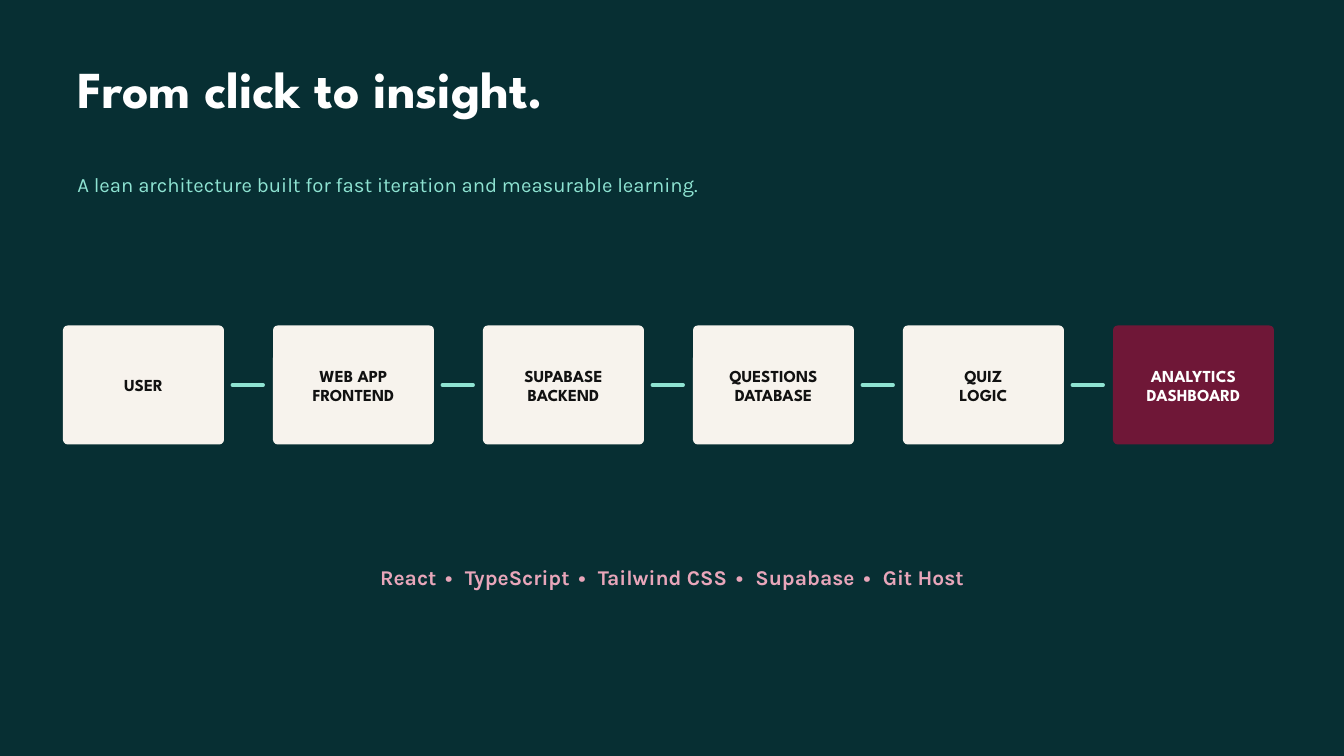
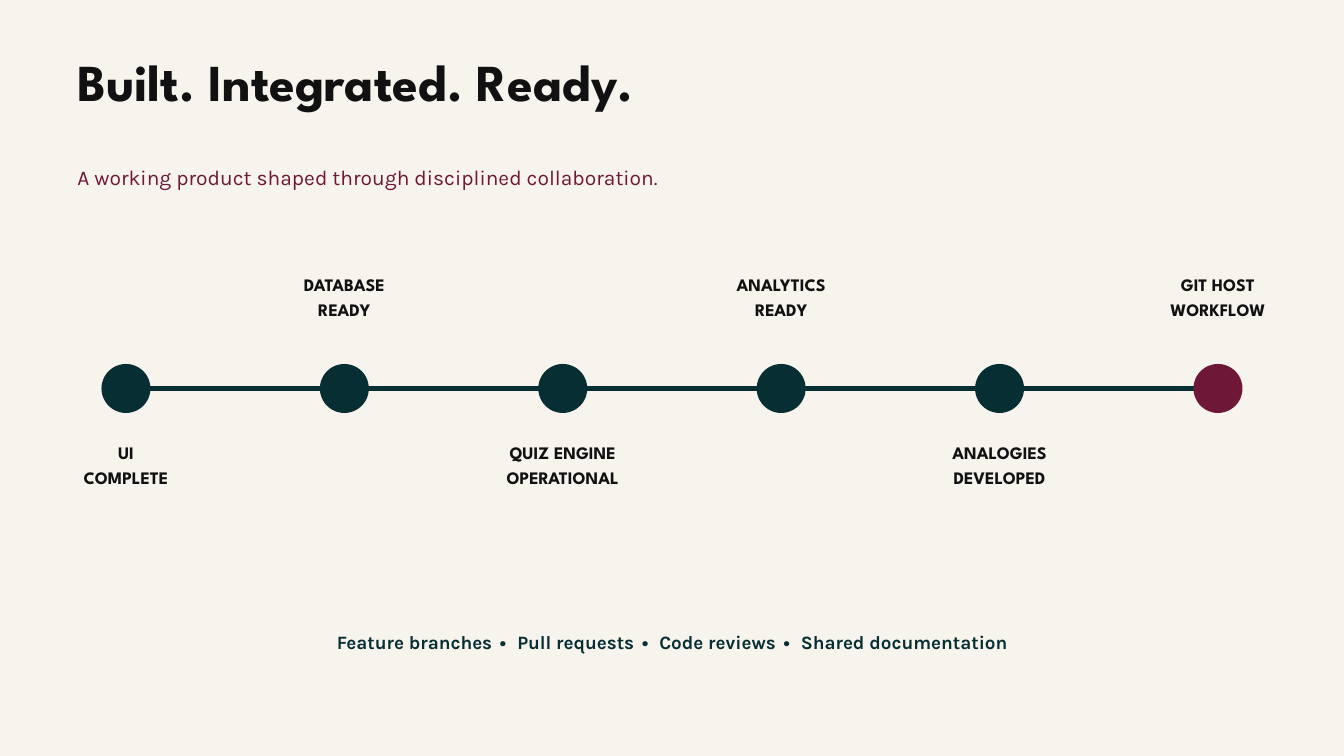
from dataclasses import dataclass

from lxml import etree
from pptx import Presentation
from pptx.dml.color import RGBColor
from pptx.enum.shapes import MSO_CONNECTOR, MSO_SHAPE
from pptx.enum.text import MSO_ANCHOR, PP_ALIGN
from pptx.oxml.ns import qn
from pptx.util import Pt

LEFT, CENTER = PP_ALIGN.LEFT, PP_ALIGN.CENTER
MIDDLE = MSO_ANCHOR.MIDDLE
ROUND, OVAL = MSO_SHAPE.ROUNDED_RECTANGLE, MSO_SHAPE.OVAL
STRAIGHT = MSO_CONNECTOR.STRAIGHT


@dataclass(frozen=True)
class Style:
    font: str
    size: float
    lead: float
    bold: bool = True
    align: int = CENTER


class Theme:
    teal, cream, wine = "072F33", "F7F3ED", "6F1737"
    mint, pink, white, ink = "8EE3D2", "E8A6BA", "FFFFFF", "111111"
    head, body = "League Spartan", "Karla"
    title = Style(head, 55.5, 55.5, align=LEFT)
    box = Style(head, 18, 19.8)
    label = Style(head, 18.8, 26.2)
    margin = 82.8
    width, height = 1440, 810


STEPS = ["USER", "WEB APP\nFRONTEND", "SUPABASE\nBACKEND",
         "QUESTIONS\nDATABASE", "QUIZ\nLOGIC", "ANALYTICS\nDASHBOARD"]
TOOLS = ["React", "TypeScript", "Tailwind CSS", "Supabase", "Git Host"]
GOALS = ["UI\nCOMPLETE", "DATABASE\nREADY", "QUIZ ENGINE\nOPERATIONAL",
         "ANALYTICS\nREADY", "ANALOGIES\nDEVELOPED", "GIT HOST\nWORKFLOW"]
HABITS = ["Feature branches", "Pull requests", "Code reviews",
          "Shared documentation"]


def rgb(color):
    return RGBColor.from_string(color)


def format_text(frame, style, color):
    for para in frame.paragraphs:
        para.alignment = style.align
        para.line_spacing = Pt(style.lead)
        for run in para.runs:
            font = run.font
            font.name, font.size, font.bold = style.font, Pt(style.size), style.bold
            font.color.rgb = rgb(color)


def set_inset(frame, side, top):
    frame.margin_left = frame.margin_right = frame.margin_bottom = Pt(side)
    frame.margin_top = Pt(top)
    frame.word_wrap = True


def add_text(slide, text, x, y, w, h, style, color):
    frame = slide.shapes.add_textbox(Pt(x), Pt(y), Pt(w), Pt(h)).text_frame
    set_inset(frame, 0, 0)
    frame.text = text
    format_text(frame, style, color)
    return frame


def add_list(slide, items, y, style, color):
    """One centred line of items with widely spaced dots between them."""
    frame = add_text(slide, "", 180, y, Theme.width - 360, style.lead, style, color)
    para = frame.paragraphs[0]
    for i, item in enumerate(items):
        if i:
            dot = para.add_run()
            dot.text = " • "
            dot.font._element.set("spc", str(round(style.size * 17)))
        para.add_run().text = item
    format_text(frame, style, color)


def add_form(slide, kind, x, y, w, h, color):
    shape = slide.shapes.add_shape(kind, Pt(x), Pt(y), Pt(w), Pt(h))
    shape.shadow.inherit = False
    shape.fill.solid()
    shape.fill.fore_color.rgb = rgb(color)
    shape.line.fill.background()
    return shape


def add_line(slide, start, end, y, color, weight):
    line = slide.shapes.add_connector(STRAIGHT, Pt(start), Pt(y), Pt(end), Pt(y))
    line.line.color.rgb = rgb(color)
    line.line.width = Pt(weight)
    props = line._element.spPr
    props.find(qn("a:ln")).set("cap", "rnd")
    etree.SubElement(props, qn("a:effectLst"))


def add_slide(deck, back, title, top, ink, lead, style, color):
    """Blank slide with background, title and lead sentence."""
    slide = deck.slides.add_slide(deck.slide_layouts[6])
    slide.background.fill.solid()
    slide.background.fill.fore_color.rgb = rgb(back)
    add_text(slide, title, Theme.margin, top, 825, 58, Theme.title, ink)
    add_text(slide, lead, Theme.margin, top + 108.75, 675, 29, style, color)
    return slide


def add_flow(slide):
    left, top, wide, high, pitch = 67.5, 348.75, 172.5, 127.5, 225
    gap = 9
    for i, step in enumerate(STEPS):
        last = i == len(STEPS) - 1
        x = left + i * pitch
        box = add_form(slide, ROUND, x, top, wide, high,
                       Theme.wine if last else Theme.cream)
        box.adjustments[0] = 0.04
        frame = box.text_frame
        set_inset(frame, 4.5, 6.5)
        frame.vertical_anchor = MIDDLE
        frame.text = step
        format_text(frame, Theme.box, Theme.white if last else Theme.ink)
        if not last:
            start = x + wide + gap
            add_line(slide, start, start + 33, top + high / 2, Theme.mint, 3.75)


def add_track(slide):
    first, pitch, mid, size, wide = 135, 234, 416.25, 52.5, 165
    last = len(GOALS) - 1
    add_line(slide, first, first + last * pitch, mid, Theme.teal, 6)
    for i, goal in enumerate(GOALS):
        x = first + i * pitch
        add_form(slide, OVAL, x - size / 2, mid - size / 2, size, size,
                 Theme.wine if i == last else Theme.teal)
        # Labels alternate below and above the line
        y = mid - 126 if i % 2 else mid + 54
        add_text(slide, goal, x - wide / 2, y, wide, 51, Theme.label, Theme.ink)


def main():
    deck = Presentation()
    deck.slide_width, deck.slide_height = Pt(Theme.width), Pt(Theme.height)

    # Architecture
    slide = add_slide(deck, Theme.teal, "From click to insight.", 72, Theme.white,
                      "A lean architecture built for fast iteration and "
                      "measurable learning.",
                      Style(Theme.body, 21.8, 29.4, False, LEFT), Theme.mint)
    add_flow(slide)
    add_list(slide, TOOLS, 600, Style(Theme.body, 22.5, 31.5), Theme.pink)

    # Milestones
    slide = add_slide(deck, Theme.cream, "Built. Integrated. Ready.", 64.5, Theme.ink,
                      "A working product shaped through disciplined collaboration.",
                      Style(Theme.body, 22.5, 30.4, False, LEFT), Theme.wine)
    add_track(slide)
    add_list(slide, HABITS, 672, Style(Theme.body, 20.2, 28.4), Theme.teal)

    deck.save("out.pptx")


if __name__ == "__main__":
    main()
